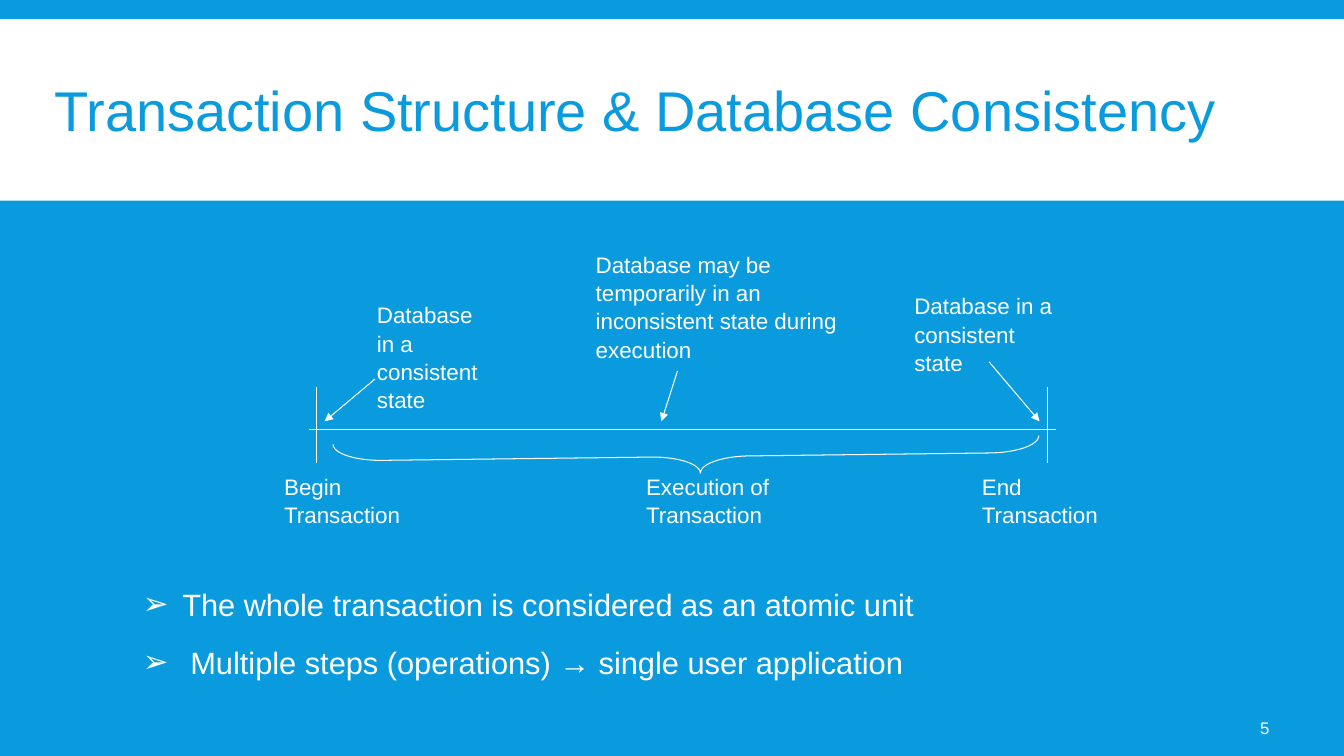
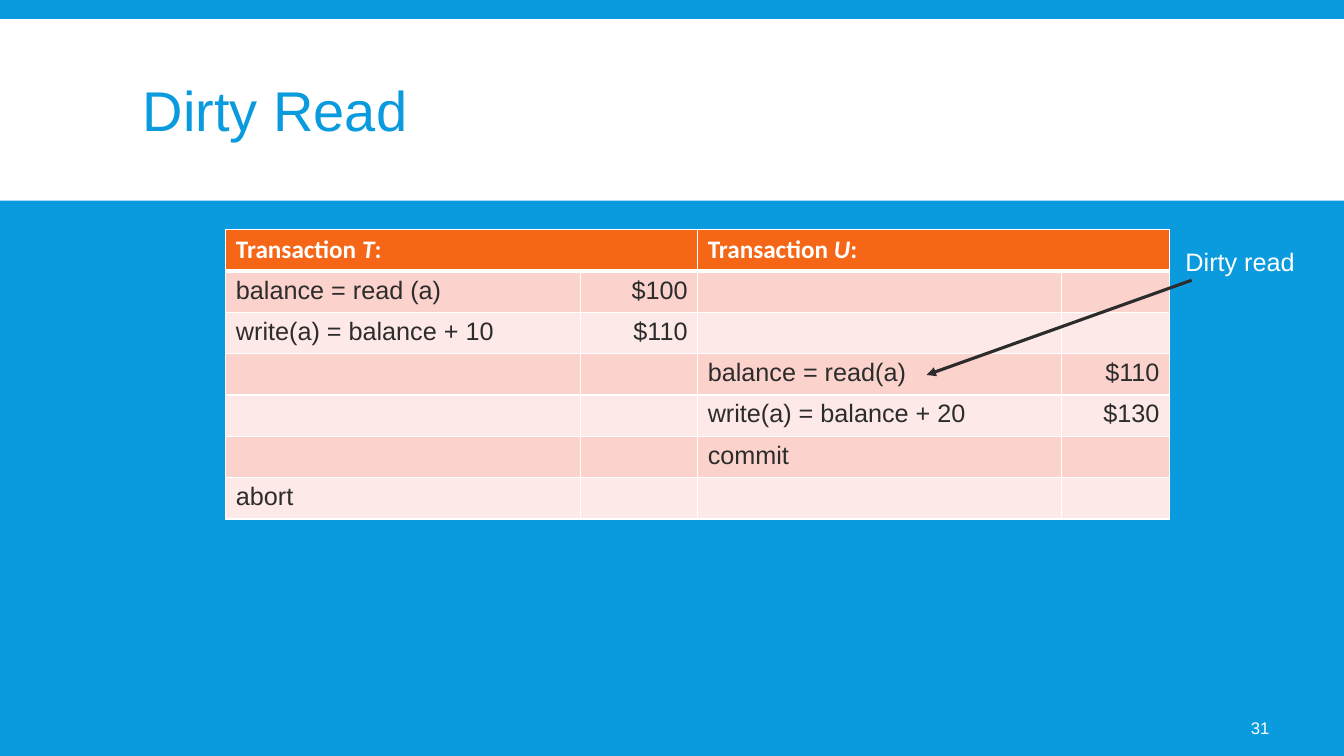
"""Builds two slides on database transactions: their structure and the dirty read."""
import lxml.etree
import pptx
import pptx.dml.color
import pptx.enum.shapes
import pptx.enum.text
import pptx.oxml.ns
import pptx.util

Inches = pptx.util.Inches
Pt = pptx.util.Pt
PP_ALIGN = pptx.enum.text.PP_ALIGN
MIDDLE = pptx.enum.text.MSO_ANCHOR.MIDDLE
SHAPES = pptx.enum.shapes.MSO_SHAPE

BLUE, WHITE, DARK = "099BDD", "FFFFFF", "2C2C2C"
ORANGE, BAND_ODD, BAND_EVEN = "F56617", "FBD3CC", "FDEAE8"


def rgb(value):
    """Turn a hex string into a colour."""
    return pptx.dml.color.RGBColor.from_string(value)


def add_xml(parent, tag, **attributes):
    """Append a drawing element to its parent."""
    return lxml.etree.SubElement(parent, pptx.oxml.ns.qn(tag), attributes)


def set_font(font, size, color, name="Arial"):
    """Set size, colour and typeface."""
    font.size = Pt(size)
    font.name = name
    font.color.rgb = rgb(color)


def add_label(slide, text, left, top, width, height, size=16, color=WHITE, spacing=1.05):
    """Add a wrapped one-paragraph text box and return its frame."""
    box = slide.shapes.add_textbox(Inches(left), Inches(top), Inches(width), Inches(height))
    frame = box.text_frame
    frame.word_wrap = True
    paragraph = frame.paragraphs[0]
    paragraph.text = text
    paragraph.line_spacing = spacing
    set_font(paragraph.font, size, color)
    return frame


def add_bullets(slide, items, left, top, width, height):
    """Add arrowhead bullets, each given as its text and hanging indent."""
    box = slide.shapes.add_textbox(Inches(left), Inches(top), Inches(width), Inches(height))
    frame = box.text_frame
    frame.word_wrap = True
    for index, (text, indent) in enumerate(items):
        paragraph = frame.add_paragraph() if index else frame.paragraphs[0]
        paragraph.text = text
        paragraph.line_spacing = 1.05
        paragraph.space_before = Pt(12 if index else 0)
        paragraph.space_after = Pt(2)
        properties = paragraph._p.get_or_add_pPr()
        properties.set("marL", str(Inches(indent)))
        properties.set("indent", str(-Inches(indent)))
        add_xml(add_xml(properties, "a:buClr"), "a:srgbClr", val=WHITE)
        add_xml(properties, "a:buFont", typeface="Arial")
        add_xml(properties, "a:buChar", char="➢")
        set_font(paragraph.font, 22, WHITE)


def add_line(slide, start, end, color=WHITE, width=0.75, arrow=False):
    """Draw a straight line, with an arrowhead at its end if asked."""
    line = slide.shapes.add_connector(
        pptx.enum.shapes.MSO_CONNECTOR.STRAIGHT, *map(Inches, start + end))
    line.line.color.rgb = rgb(color)
    line.line.width = Pt(width)
    properties = line.element.spPr
    if arrow:
        add_xml(properties.find(pptx.oxml.ns.qn("a:ln")), "a:tailEnd", type="triangle")
    add_xml(properties, "a:effectLst")


def add_brace(slide, left, top, width, height):
    """Draw the turned brace that spans the execution."""
    brace = slide.shapes.add_shape(
        SHAPES.LEFT_BRACE, Inches(left), Inches(top), Inches(width), Inches(height))
    brace.shadow.inherit = False
    brace.rotation = 269.3
    brace.adjustments[0] = 1.48
    brace.adjustments[1] = 0.52
    brace.fill.background()
    brace.line.color.rgb = rgb(WHITE)
    brace.line.width = Pt(0.75)


def style_cell(cell, fill, bottom=1, top=1):
    """Give a cell white borders and a fill."""
    properties = cell._tc.get_or_add_tcPr()
    for side, width in (("L", 1), ("R", 1), ("T", top), ("B", bottom)):
        border = add_xml(properties, f"a:ln{side}", w=str(Pt(width)))
        add_xml(add_xml(border, "a:solidFill"), "a:srgbClr", val=WHITE)
    cell.fill.solid()
    cell.fill.fore_color.rgb = rgb(fill)


def add_schedule(slide, transactions, steps, left, top, column_widths, row_height):
    """Add the table of interleaved steps under merged transaction headings."""
    table = slide.shapes.add_table(
        len(steps) + 1, len(column_widths), Inches(left), Inches(top),
        Inches(sum(column_widths)), Inches(row_height * (len(steps) + 1))).table
    for column, width in zip(table.columns, column_widths):
        column.width = Inches(width)
    for index in range(len(column_widths)):
        style_cell(table.cell(0, index), ORANGE, bottom=3)
    for index, name in enumerate(transactions):
        heading = table.cell(0, 2 * index)
        heading.merge(table.cell(0, 2 * index + 1))
        paragraph = heading.text_frame.paragraphs[0]
        for text in ("Transaction ", name, ":"):
            run = paragraph.add_run()
            run.text = text
            run.font.italic = text == name
        set_font(paragraph.font, 18, WHITE, "Calibri")
        paragraph.font.bold = True
    for row, step in enumerate(steps, 1):
        for column, text in enumerate(step):
            cell = table.cell(row, column)
            style_cell(cell, BAND_ODD if row % 2 else BAND_EVEN, top=3 if row == 1 else 1)
            paragraph = cell.text_frame.paragraphs[0]
            paragraph.text = text
            paragraph.alignment = PP_ALIGN.RIGHT if column % 2 else PP_ALIGN.LEFT
            set_font(paragraph.font, 18, DARK)


def add_slide(deck, title, number, title_left, title_width):
    """Add a slide with the shared background, title band and number."""
    slide = deck.slides.add_slide(deck.slide_layouts[6])
    slide.background.fill.solid()
    slide.background.fill.fore_color.rgb = rgb(BLUE)
    band = slide.shapes.add_shape(
        SHAPES.RECTANGLE, 0, Inches(0.19), deck.slide_width, Inches(1.8))
    band.shadow.inherit = False
    band.fill.solid()
    band.fill.fore_color.rgb = rgb(WHITE)
    band.line.fill.background()
    heading = add_label(slide, title, title_left, 0.31, title_width, 1.65, 40, BLUE, 0.85)
    heading.vertical_anchor = MIDDLE
    footer = add_label(slide, str(number), 11.66, 7.02, 1.03, 0.4, 12)
    footer.vertical_anchor = MIDDLE
    footer.paragraphs[0].alignment = PP_ALIGN.RIGHT
    return slide


def build_structure(deck):
    """Build the slide with the transaction timeline."""
    slide = add_slide(deck, "Transaction Structure & Database Consistency", 5, 0.44, 12.49)
    add_line(slide, (3.06, 4.26), (10.47, 4.26))
    for boundary in (3.14, 10.39):
        add_line(slide, (boundary, 3.84), (boundary, 4.59))
    for phase, left in (("Begin", 2.72), ("Execution of", 6.31), ("End", 9.64)):
        add_label(slide, f"{phase} Transaction", left, 4.63, 1.58, 0.64)
    consistent = "Database in a consistent state"
    inconsistent = "Database may be temporarily in an inconsistent state during execution"
    states = (
        (consistent, (3.64, 2.93, 1.25, 1.18), (3.72, 3.76), (3.22, 4.18)),
        (inconsistent, (5.81, 2.43, 2.75, 1.17), (6.72, 3.68), (6.56, 4.18)),
        (consistent, (8.97, 2.84, 1.67, 0.91), (9.81, 3.59), (10.31, 4.18)),
    )
    for text, place, start, end in states:
        add_label(slide, text, *place)
        add_line(slide, start, end, arrow=True)
    add_brace(slide, 6.64, 1.03, 0.33, 7)
    add_bullets(slide, (
        ("The whole transaction is considered as an atomic unit", 0.39),
        ("Multiple steps (operations) → single user application", 0.47),
    ), 1.32, 5.74, 10.7, 1.06)


def build_dirty_read(deck):
    """Build the slide with the dirty read schedule."""
    slide = add_slide(deck, "Dirty Read", 31, 1.32, 10.7)
    steps = (
        ("balance = read (a)", "$100", "", ""),
        ("write(a) = balance + 10", "$110", "", ""),
        ("", "", "balance = read(a)", "$110"),
        ("", "", "write(a) = balance + 20", "$130"),
        ("", "", "commit", ""),
        ("abort", "", "", ""),
    )
    add_schedule(slide, "TU", steps, 2.24, 2.28, (3.52, 1.16, 3.61, 1.07), 0.41)
    add_line(slide, (11.82, 2.78), (9.19, 3.72), DARK, 2.25, arrow=True)
    add_label(slide, "Dirty read", 11.66, 2.38, 1.4, 0.4, 18)


def main():
    """Build and save the deck."""
    deck = pptx.Presentation()
    deck.slide_width, deck.slide_height = Inches(13.33), Inches(7.5)
    build_structure(deck)
    build_dirty_read(deck)
    deck.save("out.pptx")


if __name__ == "__main__":
    main()
